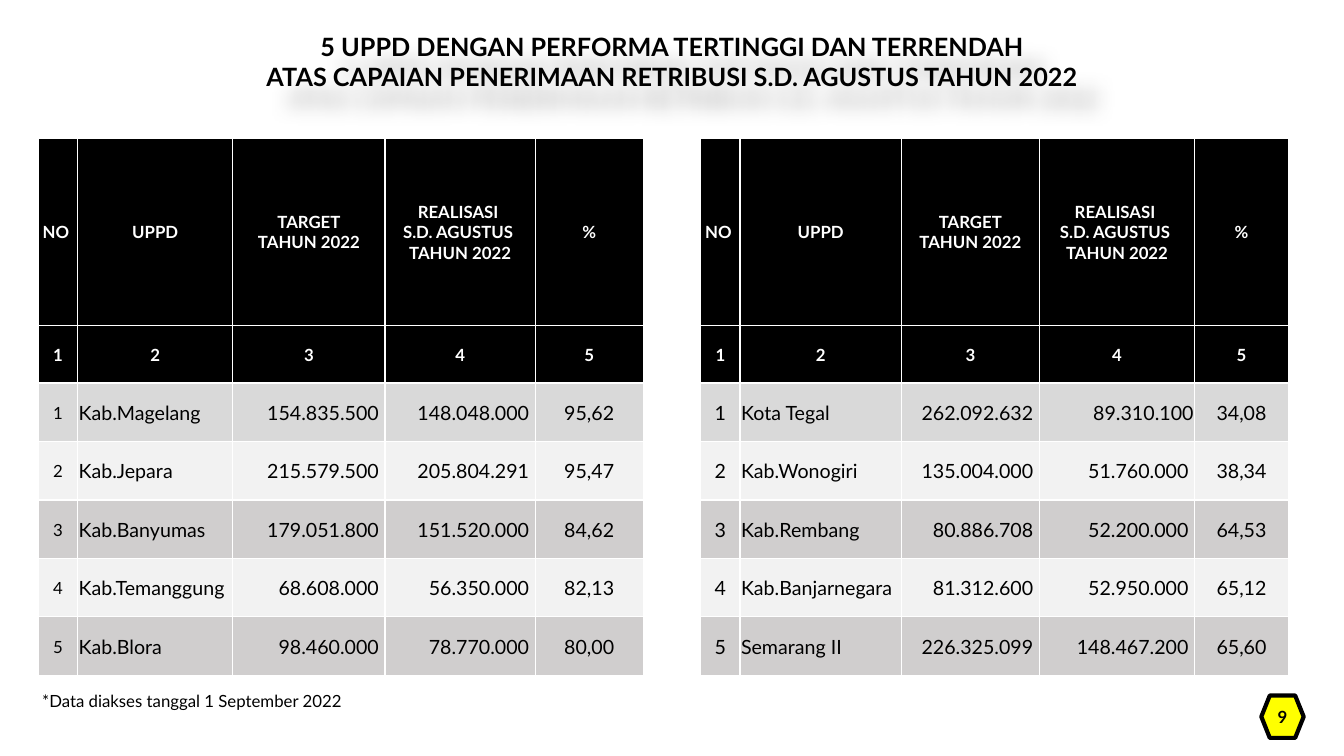
from dataclasses import dataclass

from lxml import etree
from pptx import Presentation
from pptx.dml.color import RGBColor
from pptx.enum.shapes import MSO_SHAPE
from pptx.enum.text import MSO_ANCHOR, MSO_AUTO_SIZE, PP_ALIGN
from pptx.oxml.ns import qn
from pptx.slide import Slide
from pptx.table import _Cell
from pptx.text.text import TextFrame
from pptx.util import Inches, Pt

LEFT, CENTER, RIGHT = PP_ALIGN.LEFT, PP_ALIGN.CENTER, PP_ALIGN.RIGHT
MIDDLE = MSO_ANCHOR.MIDDLE
GROW = MSO_AUTO_SIZE.SHAPE_TO_FIT_TEXT
HEXAGON = MSO_SHAPE.FLOWCHART_PREPARATION


@dataclass(frozen=True)
class Theme:
    font: str = "Lato"
    black: str = "000000"
    white: str = "FFFFFF"
    yellow: str = "FFFF00"
    first_row: str = "D9D9D9"
    even_row: str = "F2F2F2"
    odd_row: str = "D0CECE"
    title_size: int = 18
    body_size: int = 14
    small_size: int = 12


THEME = Theme()


@dataclass(frozen=True)
class Ranking:
    left: float
    column_widths: tuple[float, ...]
    rank_size: int
    rows: tuple[tuple[str, str, str, str], ...]


HEADINGS = (
    "NO",
    "UPPD",
    "TARGET\nTAHUN 2022",
    "REALISASI \nS.D. AGUSTUS \nTAHUN 2022",
    "%",
)
TABLE_TOP = 1.37
ROW_HEIGHTS = (1.86, 0.57) + (0.58,) * 5
BODY_ALIGNMENTS = (CENTER, LEFT, RIGHT, RIGHT, CENTER)
HEADER_MARGIN = 0.08
NO_MARGIN = 0.04
BODY_MARGIN = 0.01

RANKINGS = (
    Ranking(0.38, (0.39, 1.54, 1.51, 1.49, 1.07), THEME.small_size, (
        ("Kab.Magelang", "154.835.500 ", "148.048.000 ", "95,62"),
        ("Kab.Jepara", "215.579.500 ", "205.804.291 ", "95,47"),
        ("Kab.Banyumas", "179.051.800 ", "151.520.000 ", "84,62"),
        ("Kab.Temanggung", "68.608.000 ", "56.350.000 ", "82,13"),
        ("Kab.Blora", "98.460.000 ", "78.770.000 ", "80,00"),
    )),
    Ranking(6.95, (0.39, 1.6, 1.37, 1.54, 0.93), THEME.body_size, (
        ("Kota Tegal", "262.092.632 ", "89.310.100", "34,08"),
        ("Kab.Wonogiri", "135.004.000 ", "51.760.000 ", "38,34"),
        ("Kab.Rembang", "80.886.708 ", "52.200.000 ", "64,53"),
        ("Kab.Banjarnegara", "81.312.600 ", "52.950.000 ", "65,12"),
        ("Semarang II", "226.325.099 ", "148.467.200 ", "65,60"),
    )),
)


def write(frame: TextFrame, text: str, *, size: int, color: str = THEME.black,
          bold: bool = False, align: PP_ALIGN = LEFT) -> None:
    """Fill a text frame with one paragraph for each line of text."""
    for index, line in enumerate(text.split("\n")):
        para = frame.paragraphs[0] if index == 0 else frame.add_paragraph()
        para.alignment = align
        span = para.add_run()
        span.text = line
        span.font.name = THEME.font
        span.font.size = Pt(size)
        span.font.bold = bold
        span.font.color.rgb = RGBColor.from_string(color)


def add_borders(cell: _Cell) -> None:
    properties = cell._tc.get_or_add_tcPr()
    for index, side in enumerate(("lnL", "lnR", "lnT", "lnB")):
        line = etree.Element(qn(f"a:{side}"), w=str(Pt(1)))
        fill = etree.SubElement(line, qn("a:solidFill"))
        etree.SubElement(fill, qn("a:srgbClr"), val=THEME.white)
        properties.insert(index, line)


def format_cell(cell: _Cell, fill: str, left: float, right: float) -> None:
    cell.fill.solid()
    cell.fill.fore_color.rgb = RGBColor.from_string(fill)
    cell.vertical_anchor = MIDDLE
    cell.margin_left, cell.margin_right = Inches(left), Inches(right)
    cell.margin_top, cell.margin_bottom = Inches(0.01), 0
    add_borders(cell)


def body_fill(rank: int) -> str:
    if rank == 1:
        return THEME.first_row
    return THEME.odd_row if rank % 2 else THEME.even_row


def add_ranking(page: Slide, ranking: Ranking) -> None:
    table = page.shapes.add_table(
        len(ROW_HEIGHTS), len(HEADINGS), Inches(ranking.left), Inches(TABLE_TOP),
        Inches(sum(ranking.column_widths)), Inches(sum(ROW_HEIGHTS))).table
    table.horz_banding = False
    for column, width in zip(table.columns, ranking.column_widths):
        column.width = Inches(width)
    for row, height in zip(table.rows, ROW_HEIGHTS):
        row.height = Inches(height)

    column_numbers = [str(number + 1) for number in range(len(HEADINGS))]
    for row_index, labels in enumerate((HEADINGS, column_numbers)):
        for column_index, label in enumerate(labels):
            cell = table.cell(row_index, column_index)
            left = NO_MARGIN if label == "NO" else HEADER_MARGIN
            format_cell(cell, THEME.black, left, HEADER_MARGIN)
            write(cell.text_frame, label, size=THEME.small_size,
                  color=THEME.white, bold=True, align=CENTER)

    for rank, values in enumerate(ranking.rows, start=1):
        for column_index, value in enumerate((str(rank), *values)):
            cell = table.cell(rank + 1, column_index)
            format_cell(cell, body_fill(rank), BODY_MARGIN, BODY_MARGIN)
            size = THEME.body_size if column_index else ranking.rank_size
            write(cell.text_frame, value, size=size,
                  align=BODY_ALIGNMENTS[column_index])


def add_title(page: Slide) -> None:
    box = page.shapes.add_textbox(0, Inches(0.14), Inches(13.33), Inches(0.94))
    box.text_frame.word_wrap = True
    box.text_frame.vertical_anchor = MIDDLE
    write(box.text_frame,
          "5 UPPD DENGAN PERFORMA TERTINGGI DAN TERRENDAH\n"
          "ATAS CAPAIAN PENERIMAAN RETRIBUSI S.D. AGUSTUS TAHUN 2022",
          size=THEME.title_size, bold=True, align=CENTER)
    effects = etree.SubElement(box._element.spPr, qn("a:effectLst"))
    shadow = etree.SubElement(
        effects, qn("a:outerShdw"), blurRad=str(Inches(0.2)),
        dist=str(Inches(0.28)), dir="2700000", algn="tl", rotWithShape="0")
    color = etree.SubElement(shadow, qn("a:srgbClr"), val=THEME.black)
    etree.SubElement(color, qn("a:alpha"), val="30000")


def add_page_number(page: Slide) -> None:
    badge = page.shapes.add_shape(
        HEXAGON, Inches(12.51), Inches(6.9), Inches(0.42), Inches(0.42))
    badge.shadow.inherit = False
    badge.fill.solid()
    badge.fill.fore_color.rgb = RGBColor.from_string(THEME.yellow)
    badge.line.color.rgb = RGBColor.from_string(THEME.black)
    badge.line.width = Pt(3)
    frame = badge.text_frame
    frame.margin_left = frame.margin_right = 0
    frame.margin_top = frame.margin_bottom = 0
    frame.vertical_anchor = MIDDLE
    write(frame, "9", size=THEME.small_size, bold=True, align=CENTER)


def add_footnote(page: Slide) -> None:
    box = page.shapes.add_textbox(Inches(0.32), Inches(6.8), Inches(4), Inches(0.3))
    box.text_frame.word_wrap = True
    box.text_frame.auto_size = GROW
    write(box.text_frame, "*Data diakses tanggal 1 September 2022",
          size=THEME.small_size)


def main() -> None:
    deck = Presentation()
    deck.slide_width, deck.slide_height = Inches(13.33), Inches(7.5)
    page = deck.slides.add_slide(deck.slide_layouts[6])
    add_title(page)
    for ranking in RANKINGS:
        add_ranking(page, ranking)
    add_page_number(page)
    add_footnote(page)
    deck.save("out.pptx")


if __name__ == "__main__":
    main()
